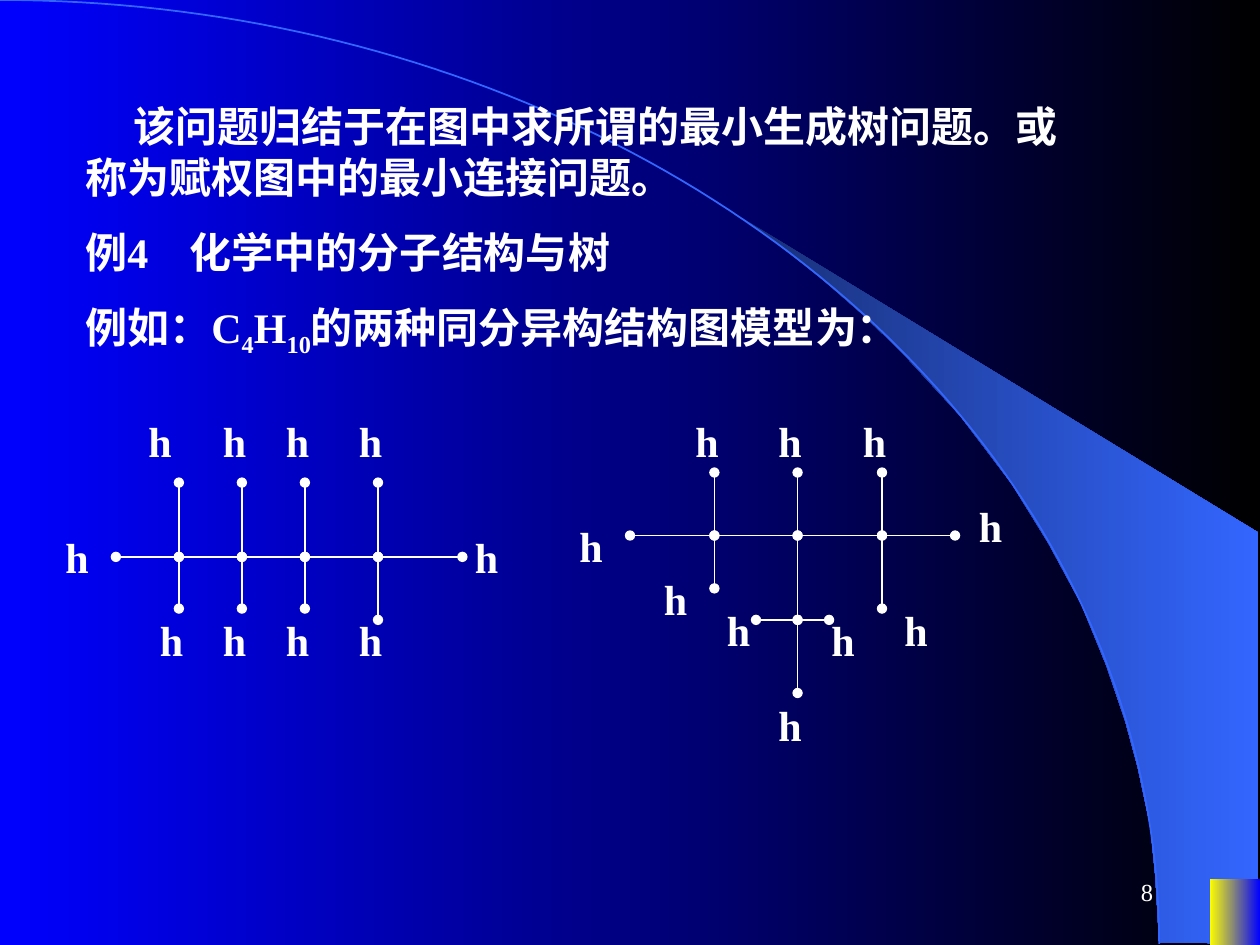
from itertools import pairwise
from math import cos, pi, sin

from lxml import etree
from pptx import Presentation
from pptx.dml.color import RGBColor
from pptx.enum.shapes import MSO_CONNECTOR, MSO_SHAPE
from pptx.enum.text import MSO_ANCHOR, PP_ALIGN
from pptx.oxml.ns import qn
from pptx.util import Inches, Pt

RECTANGLE = MSO_SHAPE.RECTANGLE
STRAIGHT = MSO_CONNECTOR.STRAIGHT
MIDDLE, TOP = MSO_ANCHOR.MIDDLE, MSO_ANCHOR.TOP
LEFT, RIGHT = PP_ALIGN.LEFT, PP_ALIGN.RIGHT

WHITE = RGBColor(0xFF, 0xFF, 0xFF)
BLACK = RGBColor(0x00, 0x00, 0x00)
BLUE = RGBColor(0x00, 0x00, 0xFF)
YELLOW = RGBColor(0xFF, 0xFF, 0x00)
NAVY = RGBColor(0x18, 0x2F, 0x76)
SKY = RGBColor(0x33, 0x66, 0xFF)

FONT = "Times New Roman"
ARC_STEPS = 90
BEAM = [
    (9.2, 7.48), (9.99, 7.49), (9.99, 4.23), (5.89, 1.73), (6.24, 1.99),
    (6.53, 2.22), (6.85, 2.5), (7.16, 2.8), (7.62, 3.3), (8.03, 3.84),
    (8.32, 4.31), (8.58, 4.79), (8.78, 5.28), (8.93, 5.72), (9.03, 6.09),
    (9.13, 6.56), (9.17, 6.96),
]

BUTANE_CHAIN = [0.5, 1, 1.5, 2, 2.58, 3.25]
BUTANE_BONDS = [(a, 1.17, b, 1.17) for a, b in pairwise(BUTANE_CHAIN)] + [
    (x, 0.58, x, bottom)
    for x, bottom in zip(BUTANE_CHAIN[1:-1], (1.58, 1.58, 1.58, 1.67))
]
BUTANE_LABELS = (
    [(x, 0) for x in (0.66, 1.25, 1.75, 2.33)]
    + [(x, 1.58) for x in (0.75, 1.25, 1.75, 2.33)]
    + [(0, 0.92), (3.25, 0.92)]
)

ISOBUTANE_CHAIN = [0.5, 1.17, 1.83, 2.5, 3.08]
ISOBUTANE_BONDS = [(a, 1, b, 1) for a, b in pairwise(ISOBUTANE_CHAIN)] + [
    (x, 0.5, x, bottom)
    for x, bottom in zip(ISOBUTANE_CHAIN[1:-1], (1.42, 1.67, 1.58))
] + [(1.5, 1.67, 2.08, 1.67), (1.83, 1.67, 1.83, 2.25)]
ISOBUTANE_LABELS = [
    (0.92, 0), (1.58, 0), (2.25, 0), (0, 0.83), (3.17, 0.67),
    (0.67, 1.25), (1.17, 1.5), (2, 1.58), (2.58, 1.5), (1.58, 2.25),
]


def fill_gradient(fill, start, end):
    fill.gradient()
    fill.gradient_angle = 0
    for stop, color in zip(fill.gradient_stops, (start, end)):
        stop.color.rgb = color


def add_outline(shapes, points, close):
    corners = [(Inches(x), Inches(y)) for x, y in points]
    builder = shapes.build_freeform(*corners[0], scale=1.0)
    builder.add_line_segments(corners[1:], close=close)
    outline = builder.convert_to_shape()
    outline.shadow.inherit = False
    return outline


def add_backdrop(slide, width, height):
    fill_gradient(slide.background.fill, BLUE, BLACK)

    beam = add_outline(slide.shapes, BEAM, True)
    fill_gradient(beam.fill, NAVY, SKY)
    beam.line.fill.background()

    radius_x, radius_y = width - 0.8, height - 0.01
    angles = [pi / 2 * step / ARC_STEPS for step in range(ARC_STEPS + 1)]
    arc = add_outline(
        slide.shapes,
        [(radius_x * sin(a), radius_y * (1 - cos(a))) for a in angles],
        False,
    )
    arc.fill.background()
    arc.line.color.rgb = SKY
    arc.line.width = Pt(1)

    corner = slide.shapes.add_shape(
        RECTANGLE, Inches(width - 0.4), Inches(height - 0.52), Inches(0.4), Inches(0.52)
    )
    corner.shadow.inherit = False
    fill_gradient(corner.fill, YELLOW, BLUE)
    corner.line.fill.background()


def add_text(shapes, box, pieces, size=24, bold=True, anchor=TOP, align=LEFT):
    frame = shapes.add_textbox(*map(Inches, box)).text_frame
    frame.word_wrap = True
    frame.vertical_anchor = anchor
    paragraph = frame.paragraphs[0]
    paragraph.alignment = align
    for index, piece in enumerate(pieces):
        run = paragraph.add_run()
        run.text = piece
        run.font.name = FONT
        run.font.size = Pt(size)
        run.font.bold = bold
        run.font.color.rgb = WHITE
        if index % 2:
            run.font._element.set("baseline", "-25000")
    return paragraph


def add_statement(shapes, left, top):
    intro = add_text(
        shapes, (left, top, 8.08, 0.9),
        ["该问题归结于在图中求所谓的最小生成树问题。或称为赋权图中的最小连接问题。"],
        anchor=MIDDLE,
    )
    intro._p.get_or_add_pPr().set("indent", str(Inches(0.38)))

    example = add_text(
        shapes, (left, top + 1, 8.17, 0.5), ["例4\t化学中的分子结构与树"], anchor=MIDDLE
    )
    tabs = etree.SubElement(example._p.get_or_add_pPr(), qn("a:tabLst"))
    etree.SubElement(tabs, qn("a:tab"), pos=str(Inches(0.83)), algn="l")

    formula = add_text(
        shapes, (left, top + 1.5, 9, 0.65),
        ["例如：C", "4", "H", "10", "的两种同分异构结构图模型为："],
    )
    formula.line_spacing = 1.2


def add_bond(shapes, ends):
    bond = shapes.add_connector(STRAIGHT, *map(Inches, ends))
    bond.line.color.rgb = WHITE
    bond.line.width = Pt(0.75)
    line = bond.line._get_or_add_ln()
    for end in ("a:headEnd", "a:tailEnd"):
        etree.SubElement(line, qn(end), type="oval")
    etree.SubElement(bond._element.spPr, qn("a:effectLst"))


def add_molecule(slide, left, top, bonds, labels):
    molecule = slide.shapes.add_group_shape().shapes
    for x1, y1, x2, y2 in bonds:
        add_bond(molecule, (left + x1, top + y1, left + x2, top + y2))
    for x, y in labels:
        add_text(molecule, (left + x, top + y, 0.6, 0.5), ["h"])


def main():
    deck = Presentation()
    deck.slide_width, deck.slide_height = Inches(10), Inches(7.5)
    slide = deck.slides.add_slide(deck.slide_layouts[6])
    add_backdrop(slide, 10, 7.5)
    add_text(
        slide.shapes, (7.17, 6.83, 2.08, 0.5), ["8"],
        size=14, bold=False, anchor=MIDDLE, align=RIGHT,
    )
    add_statement(slide.shapes, 0.58, 0.75)
    add_molecule(slide, 0.42, 3.25, BUTANE_BONDS, BUTANE_LABELS)
    add_molecule(slide, 4.5, 3.25, ISOBUTANE_BONDS, ISOBUTANE_LABELS)
    deck.save("out.pptx")


if __name__ == "__main__":
    main()
